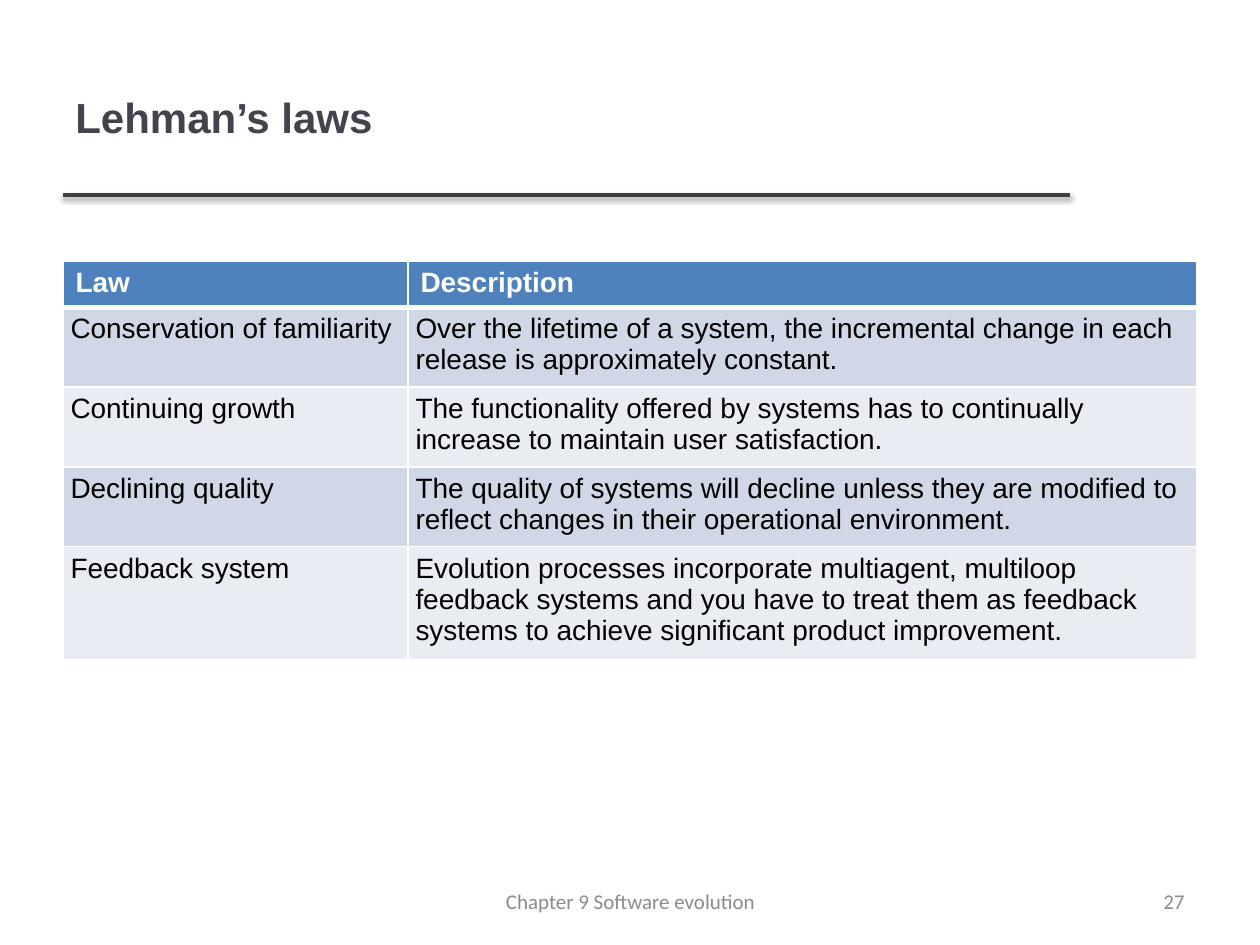
from lxml import etree
from pptx import Presentation
from pptx import util as u
from pptx.dml.color import RGBColor
from pptx.enum import shapes, text
from pptx.oxml import parse_xml
from pptx.oxml.ns import nsdecls, qn

PX_PER_INCH = 126
INK = RGBColor(0x46, 0x42, 0x4D)
RULE = RGBColor(0x40, 0x40, 0x40)
GREY = RGBColor(0x8B, 0x8B, 0x8B)
BLACK = RGBColor(0, 0, 0)
WHITE = RGBColor(0xFF, 0xFF, 0xFF)
HEADER = RGBColor(0x4F, 0x81, 0xBD)
BANDS = (RGBColor(0xD0, 0xD8, 0xE7), RGBColor(0xE9, 0xEC, 0xF3))

TITLE_FONT = {"name": "Arial", "size": u.Pt(24), "bold": True}
HEADER_FONT = {"name": "Arial", "size": u.Pt(16), "bold": True}
BODY_FONT = {"name": "Arial", "size": u.Pt(16), "bold": False}
FOOTER_FONT = {"name": "Calibri", "size": u.Pt(12)}

LAWS = [
    ("Law", "Description"),
    ("Conservation of familiarity",
     "Over the lifetime of a system, the incremental change in each release "
     "is approximately constant."),
    ("Continuing growth",
     "The functionality offered by systems has to continually increase to "
     "maintain user satisfaction."),
    ("Declining quality",
     "The quality of systems will decline unless they are modified to reflect "
     "changes in their operational environment."),
    ("Feedback system",
     "Evolution processes incorporate multiagent, multiloop feedback systems "
     "and you have to treat them as feedback systems to achieve significant "
     "product improvement."),
]
COLUMN_WIDTHS = (345, 789)
ROW_HEIGHTS = (44, 74, 74, 74, 106)


def px(length):
    return u.Emu(round(length * u.Inches(1) / PX_PER_INCH))


def set_all(target, values):
    for name, value in values.items():
        setattr(target, name, value)


def write(paragraph, words, font, color):
    run = paragraph.add_run()
    run.text = words
    set_all(run.font, font)
    run.font.color.rgb = color


def add_label(slide, box, words, font, color, align=text.PP_ALIGN.LEFT):
    frame = slide.shapes.add_textbox(*map(px, box)).text_frame
    set_all(frame, {"word_wrap": True,
                    "vertical_anchor": text.MSO_ANCHOR.MIDDLE})
    frame.paragraphs[0].alignment = align
    write(frame.paragraphs[0], words, font, color)


def add_title_rule(slide, left, right, y):
    rule = slide.shapes.add_connector(
        shapes.MSO_CONNECTOR.STRAIGHT, px(left), px(y), px(right), px(y))
    rule.line.color.rgb = RULE
    rule.line.width = u.Pt(2)
    # Soft shadow straight below the rule
    rule._element.spPr.append(parse_xml(
        f'<a:effectLst {nsdecls("a")}>'
        f'<a:outerShdw blurRad="{u.Pt(3.1)}" dist="{u.Pt(1.6)}" dir="5400000" '
        'rotWithShape="0"><a:srgbClr val="000000"><a:alpha val="38000"/>'
        '</a:srgbClr></a:outerShdw></a:effectLst>'))


def add_borders(cell, widths):
    properties = cell._tc.get_or_add_tcPr()
    # Border lines come before the fill
    for index, (side, width) in enumerate(widths.items()):
        line = etree.Element(qn(f"a:ln{side}"), w=str(u.Pt(width)))
        fill = etree.SubElement(line, qn("a:solidFill"))
        etree.SubElement(fill, qn("a:srgbClr"), val=str(WHITE))
        properties.insert(index, line)


def add_law_table(slide, left, top):
    table = slide.shapes.add_table(
        len(LAWS), len(COLUMN_WIDTHS), px(left), px(top),
        px(sum(COLUMN_WIDTHS)), px(sum(ROW_HEIGHTS))).table
    for column, width in zip(table.columns, COLUMN_WIDTHS):
        column.width = px(width)
    for row, height in zip(table.rows, ROW_HEIGHTS):
        row.height = px(height)

    for r, law in enumerate(LAWS):
        for c, words in enumerate(law):
            cell = table.cell(r, c)
            paragraph = cell.text_frame.paragraphs[0]
            cell.fill.solid()
            if r == 0:
                cell.fill.fore_color.rgb = HEADER
                write(paragraph, words, HEADER_FONT, WHITE)
            else:
                cell.fill.fore_color.rgb = BANDS[(r - 1) % 2]
                set_all(cell, {"margin_left": u.Inches(0.06),
                               "margin_right": u.Inches(0.06)})
                paragraph.space_after = u.Pt(6)
                write(paragraph, words, BODY_FONT, BLACK)
            add_borders(cell, {"L": 0.96, "R": 0.96,
                               "T": 3 if r == 1 else 0.96,
                               "B": 3 if r == 0 else 0.96})


def main():
    deck = Presentation()
    set_all(deck, {"slide_width": px(1260), "slide_height": px(945)})
    slide = deck.slides.add_slide(deck.slide_layouts[6])

    # Title and rule
    add_title_rule(slide, 63, 1070, 195)
    add_label(slide, (63, 38, 1006, 157), "Lehman’s laws", TITLE_FONT, INK)

    # Laws
    add_law_table(slide, 63, 261)

    # Footer
    add_label(slide, (903, 876, 294, 50), "27", FOOTER_FONT, GREY,
              text.PP_ALIGN.RIGHT)
    add_label(slide, (431, 876, 399, 50), "Chapter 9 Software evolution",
              FOOTER_FONT, GREY, text.PP_ALIGN.CENTER)

    deck.save("out.pptx")


if __name__ == "__main__":
    main()
